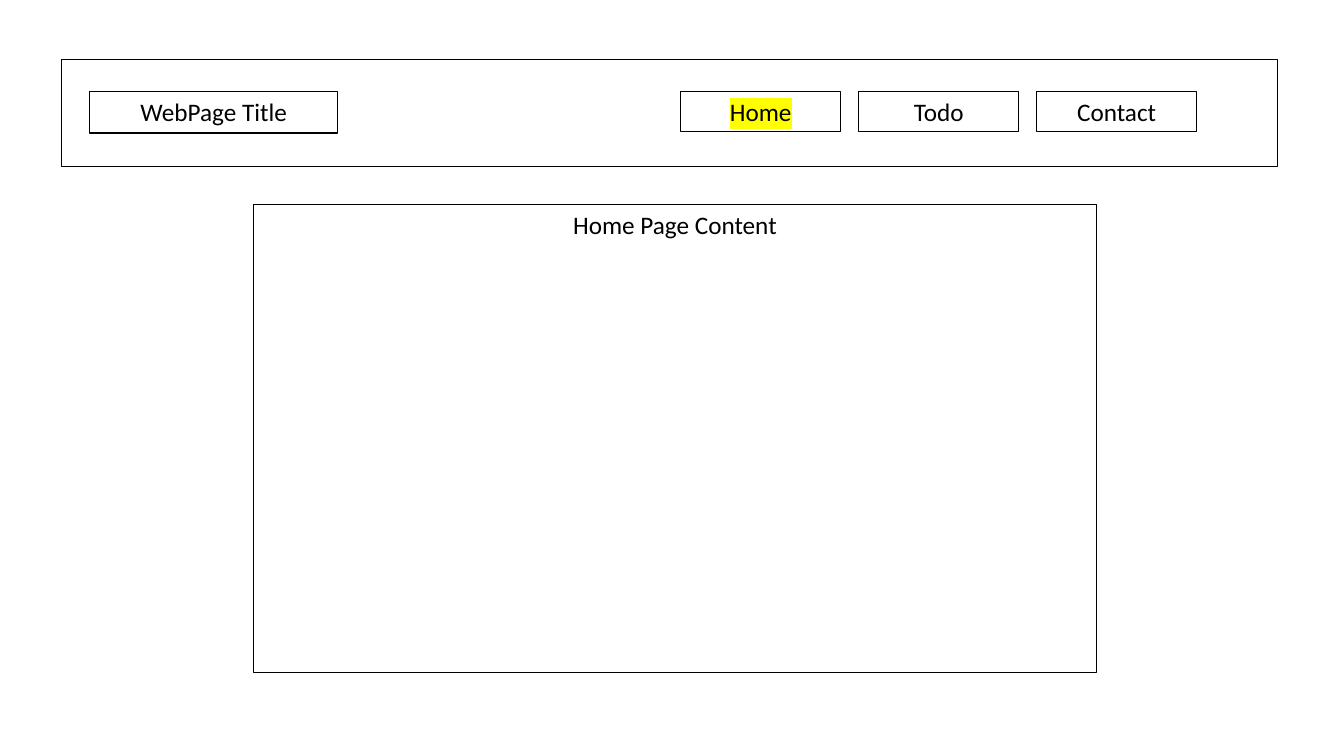
from lxml import etree
from pptx import Presentation, util as u
from pptx.dml.color import RGBColor
from pptx.enum import shapes, text
from pptx.oxml.ns import qn

PAGE_TITLE = "WebPage Title"
MENU = ["Home", "Todo", "Contact"]
ACTIVE = "Home"
CONTENT = "Home Page Content"
INK, HIGHLIGHT = "000000", "FFFF00"

# Left, top, width, height in inches
HEADER_AREA = (0.61, 0.59, 12.06, 1.06)
TITLE_AREA = (0.89, 0.91, 2.46, 0.41)
CONTENT_AREA = (2.51, 2.03, 8.37, 4.64)
MENU_LEFT, MENU_TOP, MENU_STEP = 6.75, 0.91, 1.765
BUTTON_SIZE = (1.59, 0.4)


def color(value):
    return RGBColor.from_string(value)


def outline(box, area):
    box.left, box.top, box.width, box.height = map(u.Inches, area)
    box.fill.background()
    box.line.color.rgb = color(INK)
    box.line.width = u.Pt(0.75)


def write(box, words, size=18, font="Calibri", highlight=None):
    frame = box.text_frame
    frame.word_wrap = True
    frame.auto_size = text.MSO_AUTO_SIZE.NONE
    frame.vertical_anchor = text.MSO_ANCHOR.TOP
    para = frame.paragraphs[0]
    para.alignment = text.PP_ALIGN.CENTER
    span = para.add_run()
    span.text = words
    span.font.size = u.Pt(size)
    span.font.color.rgb = color(INK)
    if highlight:
        mark = etree.SubElement(span.font._element, qn("a:highlight"))
        etree.SubElement(mark, qn("a:srgbClr"), val=highlight)
    span.font.name = font


def add_box(page, area, words=None, **style):
    box = page.shapes.add_shape(
        shapes.MSO_SHAPE.RECTANGLE, *map(u.Inches, area))
    box.shadow.inherit = False
    outline(box, area)
    if words:
        write(box, words, **style)


def main():
    deck = Presentation()
    deck.slide_width, deck.slide_height = u.Inches(13.33), u.Inches(7.5)
    page = deck.slides.add_slide(deck.slide_layouts[5])

    add_box(page, HEADER_AREA)
    title = page.shapes.title
    outline(title, TITLE_AREA)
    write(title, PAGE_TITLE)

    for column, label in enumerate(MENU):
        area = (MENU_LEFT + column * MENU_STEP, MENU_TOP, *BUTTON_SIZE)
        add_box(page, area, label,
                highlight=HIGHLIGHT if label == ACTIVE else None)
    add_box(page, CONTENT_AREA, CONTENT)

    deck.save("out.pptx")


if __name__ == "__main__":
    main()
